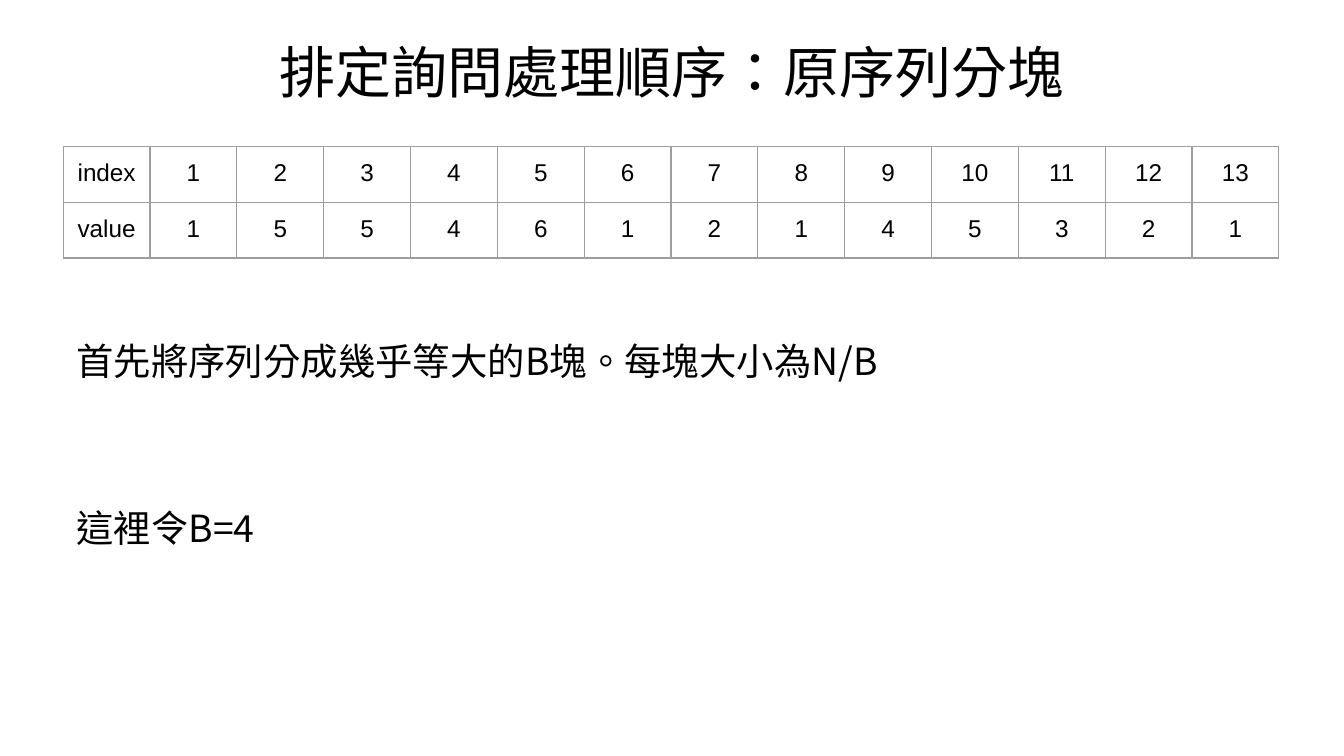
from dataclasses import dataclass

from lxml import etree
from pptx import Presentation, util as u
from pptx.dml.color import RGBColor
from pptx.enum import lang, text
from pptx.oxml import ns

WIDTH = u.Inches(10)
HEIGHT = WIDTH * 9 // 16
MARGIN = u.Inches(0.47)
INSET = u.Inches(0.1)
CJK, LATIN = "Noto Sans CJK TC", "Arial"
BLACK, GRAY = "000000", "9E9E9E"

INDEX_ROW = ["index", *range(1, 14)]
VALUE_ROW = ["value", 1, 5, 5, 4, 6, 1, 2, 1, 4, 5, 3, 2, 1]
SEQUENCE = [INDEX_ROW, VALUE_ROW]
COLUMN = u.Inches(9.05 / len(INDEX_ROW))
ROW = u.Inches(0.83 / len(SEQUENCE))


@dataclass
class Statement:
    wording: str
    top: float  # share of the slide height


STATEMENTS = [
    Statement("首先將序列分成幾乎等大的B塊。每塊大小為N/B", 0.43),
    Statement("這裡令B=4", 0.65),
]


def color(value: str) -> RGBColor:
    return RGBColor.from_string(value)


def write(frame, wording: str, size: float, typeface: str, align) -> None:
    """Fill a text frame with one uniformly formatted paragraph."""
    frame.text = wording
    paragraph = frame.paragraphs[0]
    paragraph.alignment = align
    font = paragraph.runs[0].font
    font.size = u.Pt(size)
    font.name = typeface
    font.color.rgb = color(BLACK)
    font.language_id = lang.MSO_LANGUAGE_ID.TRADITIONAL_CHINESE
    east_asian = etree.SubElement(font._element, ns.qn("a:ea"))
    east_asian.set("typeface", typeface)


def lay_out(frame) -> None:
    """Wrap and top-anchor a text frame with equal insets."""
    frame.word_wrap = True
    frame.auto_size = text.MSO_AUTO_SIZE.NONE
    frame.vertical_anchor = text.MSO_ANCHOR.TOP
    frame.margin_left = frame.margin_right = INSET
    frame.margin_top = frame.margin_bottom = INSET


def border(cell, value: str, points: float) -> None:
    properties = cell._tc.get_or_add_tcPr()
    for position, side in enumerate(("lnL", "lnR", "lnT", "lnB")):
        line = etree.Element(ns.qn(f"a:{side}"), w=str(u.Pt(points)))
        fill = etree.SubElement(line, ns.qn("a:solidFill"))
        etree.SubElement(fill, ns.qn("a:srgbClr"), val=value)
        properties.insert(position, line)


def add_title(slide, wording: str) -> None:
    title = slide.shapes.title
    title.left, title.top = 0, u.Inches(0.18)
    title.width, title.height = WIDTH, u.Inches(0.67)
    lay_out(title.text_frame)
    write(title.text_frame, wording, 30, CJK, text.PP_ALIGN.CENTER)


def add_sequence(slide, rows: list) -> None:
    columns = len(rows[0])
    table = slide.shapes.add_table(
        len(rows), columns, MARGIN, u.Inches(1.09), COLUMN * columns, ROW * len(rows)
    ).table
    table.first_row = table.horz_banding = False
    for column in table.columns:
        column.width = COLUMN
    for row, values in zip(table.rows, rows):
        row.height = ROW
        for cell, value in zip(row.cells, values):
            cell.margin_left = cell.margin_right = INSET
            cell.margin_top = cell.margin_bottom = INSET
            cell.fill.background()
            border(cell, GRAY, 0.75)
            write(cell.text_frame, str(value), 13, LATIN, text.PP_ALIGN.CENTER)


def add_statement(slide, statement: Statement) -> None:
    box = slide.shapes.add_textbox(
        MARGIN, int(HEIGHT * statement.top), u.Inches(7.33), u.Inches(0.73)
    )
    lay_out(box.text_frame)
    write(box.text_frame, statement.wording, 20, CJK, text.PP_ALIGN.LEFT)


def main() -> None:
    deck = Presentation()
    deck.slide_width, deck.slide_height = WIDTH, HEIGHT
    slide = deck.slides.add_slide(deck.slide_layouts[5])
    add_title(slide, "排定詢問處理順序：原序列分塊")
    add_sequence(slide, SEQUENCE)
    for statement in STATEMENTS:
        add_statement(slide, statement)
    deck.save("out.pptx")


if __name__ == "__main__":
    main()
